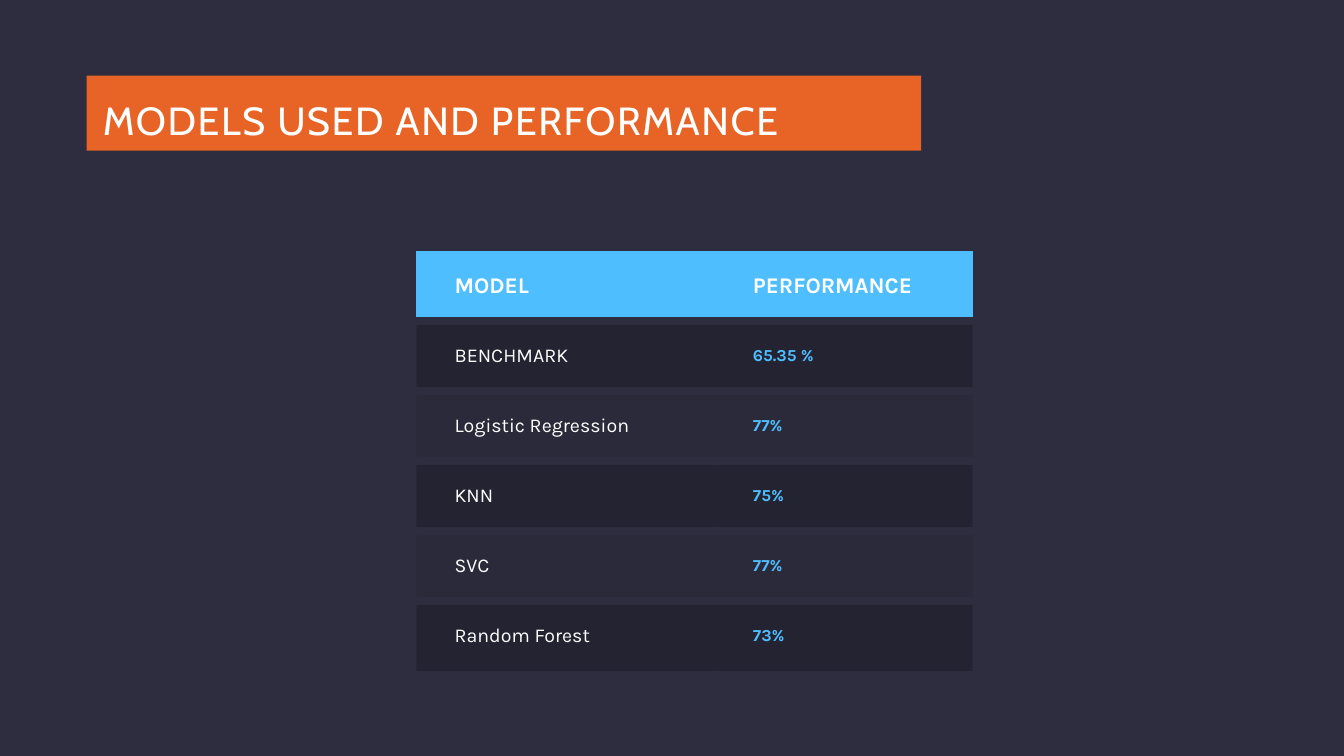
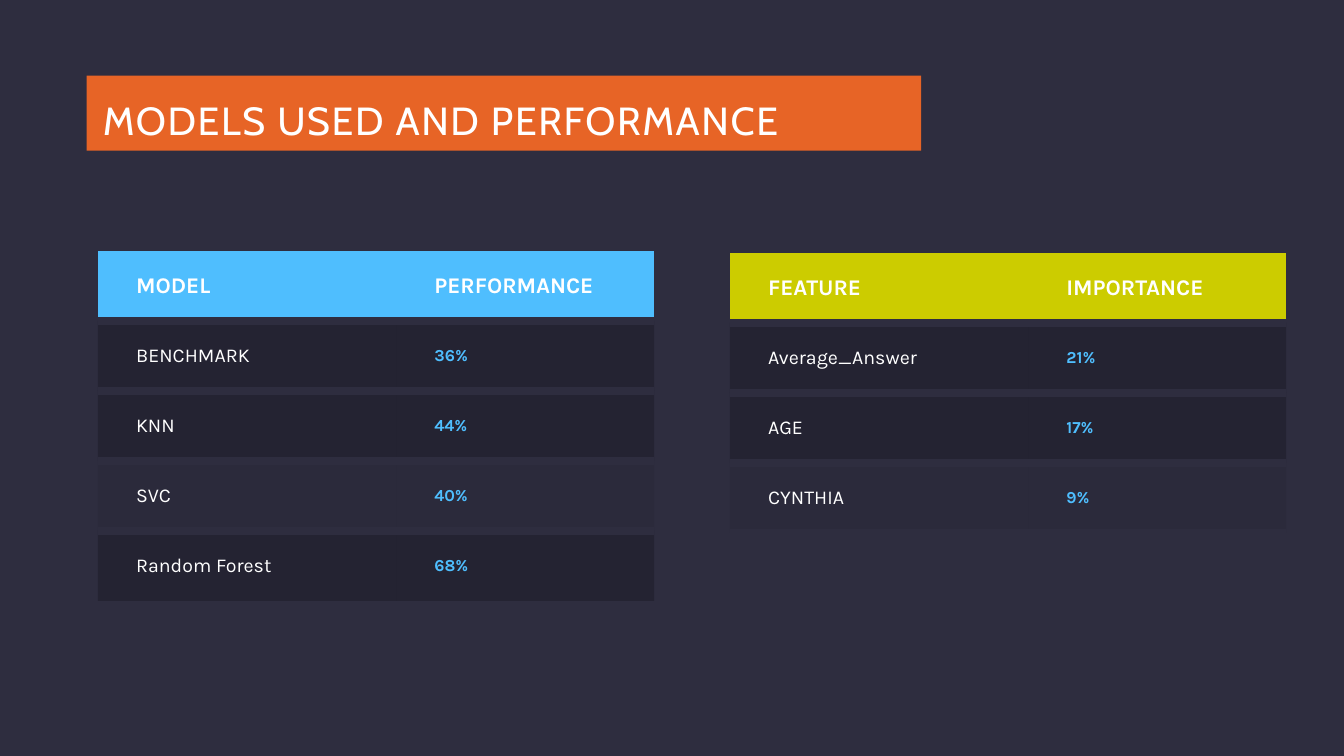
"""Build two slides of model performance tables."""
from lxml import etree
from pptx import Presentation
from pptx.dml.color import RGBColor
from pptx.enum.text import MSO_ANCHOR, MSO_AUTO_SIZE, PP_ALIGN
from pptx.oxml.ns import qn
from pptx.util import Pt

MIDDLE = MSO_ANCHOR.MIDDLE
LEFT = PP_ALIGN.LEFT
NO_FIT = MSO_AUTO_SIZE.NONE

COLORS = {
    "background": "2E2D3F",
    "band": "E76426",
    "blue": "4FBEFE",
    "lime": "CCCC00",
    "row": "171620",
    "white": "FFFFFF",
}
TITLE_FONT, TABLE_FONT = "Cabin", "Karla"
TITLE = "MODELS USED AND PERFORMANCE"
TITLE_BOX = (61.92, 54, 596.16, 53.64)
COLUMN_WIDTHS = (213.12, 184.32)
ROW_HEIGHT = 50
CELL_INDENT = 27.36
GAP = 6
STRONG, FAINT = 40, 10
NO_GRID_STYLE = "{2D5ABB26-0587-4C30-8999-92F81FD0307C}"

SLIDES = [
    [
        {
            "at": (297.36, 179.28), "accent": "blue", "gap_below": False,
            "header": ("MODEL", "PERFORMANCE"),
            "rows": [
                ("BENCHMARK", "65.35 %", STRONG),
                ("Logistic Regression", "77%", FAINT),
                ("KNN", "75%", STRONG),
                ("SVC", "77%", FAINT),
                ("Random Forest", "73%", STRONG),
            ],
        },
    ],
    [
        {
            "at": (69.84, 179.28), "accent": "blue", "gap_below": False,
            "header": ("MODEL", "PERFORMANCE"),
            "rows": [
                ("BENCHMARK", "36%", STRONG),
                ("KNN", "44%", STRONG),
                ("SVC", "40%", FAINT),
                ("Random Forest", "68%", STRONG),
            ],
        },
        {
            "at": (521.28, 180.72), "accent": "lime", "gap_below": True,
            "header": ("FEATURE", "IMPORTANCE"),
            "rows": [
                ("Average_Answer", "21%", STRONG),
                ("AGE", "17%", STRONG),
                ("CYNTHIA", "9%", FAINT),
            ],
        },
    ],
]


def rgb(name):
    return RGBColor.from_string(COLORS[name])


def write(frame, text, *, font, size, color="white", bold=False,
          line_spacing=None, tracking=None):
    paragraph = frame.paragraphs[0]
    paragraph.alignment = LEFT
    paragraph.space_before = Pt(0)
    if line_spacing:
        paragraph.line_spacing = line_spacing
    run = paragraph.add_run()
    run.text = text
    run.font.name = font
    run.font.size = Pt(size)
    run.font.bold = bold
    run.font.color.rgb = rgb(color)
    if tracking:
        run.font._element.set("spc", str(int(tracking * 100)))


def paint(cell, color, opacity=100):
    cell.fill.solid()
    cell.fill.fore_color.rgb = rgb(color)
    if opacity < 100:
        tint = cell._tc.tcPr.find(f"{qn('a:solidFill')}/{qn('a:srgbClr')}")
        etree.SubElement(tint, qn("a:alpha"), val=str(opacity * 1000))


def add_gaps(cell, edges):
    properties = cell._tc.get_or_add_tcPr()
    for position, edge in enumerate(edges):
        line = etree.Element(qn(edge), w=str(Pt(GAP)))
        fill = etree.SubElement(line, qn("a:solidFill"))
        etree.SubElement(fill, qn("a:srgbClr"), val=COLORS["background"])
        properties.insert(position, line)


def add_title(slide):
    title = slide.shapes.title
    title.left, title.top, title.width, title.height = map(Pt, TITLE_BOX)
    title.fill.solid()
    title.fill.fore_color.rgb = rgb("band")
    frame = title.text_frame
    frame.auto_size = NO_FIT
    frame.word_wrap = True
    frame.vertical_anchor = MIDDLE
    frame.margin_left = frame.margin_right = Pt(11.52)
    frame.margin_top = frame.margin_bottom = Pt(4.32)
    write(frame, TITLE, font=TITLE_FONT, size=28, line_spacing=1.3, tracking=1.2)


def add_results(slide, results):
    header, rows = results["header"], results["rows"]
    left, top = results["at"]
    row_count = len(rows) + 1
    holder = slide.shapes.add_table(
        row_count, len(header), Pt(left), Pt(top),
        Pt(sum(COLUMN_WIDTHS)), Pt(ROW_HEIGHT * row_count))
    table = holder.table
    next(holder._element.iter(qn("a:tableStyleId"))).text = NO_GRID_STYLE
    table.horz_banding = False
    for column, width in zip(table.columns, COLUMN_WIDTHS):
        column.width = Pt(width)
    for row in table.rows:
        row.height = Pt(ROW_HEIGHT)

    label_style = {"size": 14}
    value_style = {"size": 12, "color": "blue", "bold": True}
    header_style = {"size": 16, "bold": True}
    lines = [(header, (header_style, header_style), results["accent"], 100)]
    lines += [((label, value), (label_style, value_style), "row", opacity)
              for label, value, opacity in rows]
    for r, (texts, styles, color, opacity) in enumerate(lines):
        edges = ["a:lnT"] if r else []
        if r < row_count - 1 or results["gap_below"]:
            edges.append("a:lnB")
        for c, (text, style) in enumerate(zip(texts, styles)):
            cell = table.cell(r, c)
            cell.margin_left = Pt(CELL_INDENT)
            cell.vertical_anchor = MIDDLE
            paint(cell, color, opacity)
            add_gaps(cell, edges)
            write(cell.text_frame, text, font=TABLE_FONT, **style)


def main():
    deck = Presentation()
    deck.slide_width, deck.slide_height = Pt(960), Pt(540)
    background = deck.slide_master.background.fill
    background.solid()
    background.fore_color.rgb = rgb("background")
    for tables in SLIDES:
        slide = deck.slides.add_slide(deck.slide_layouts[5])
        add_title(slide)
        for results in tables:
            add_results(slide, results)
    deck.save("out.pptx")


if __name__ == "__main__":
    main()
